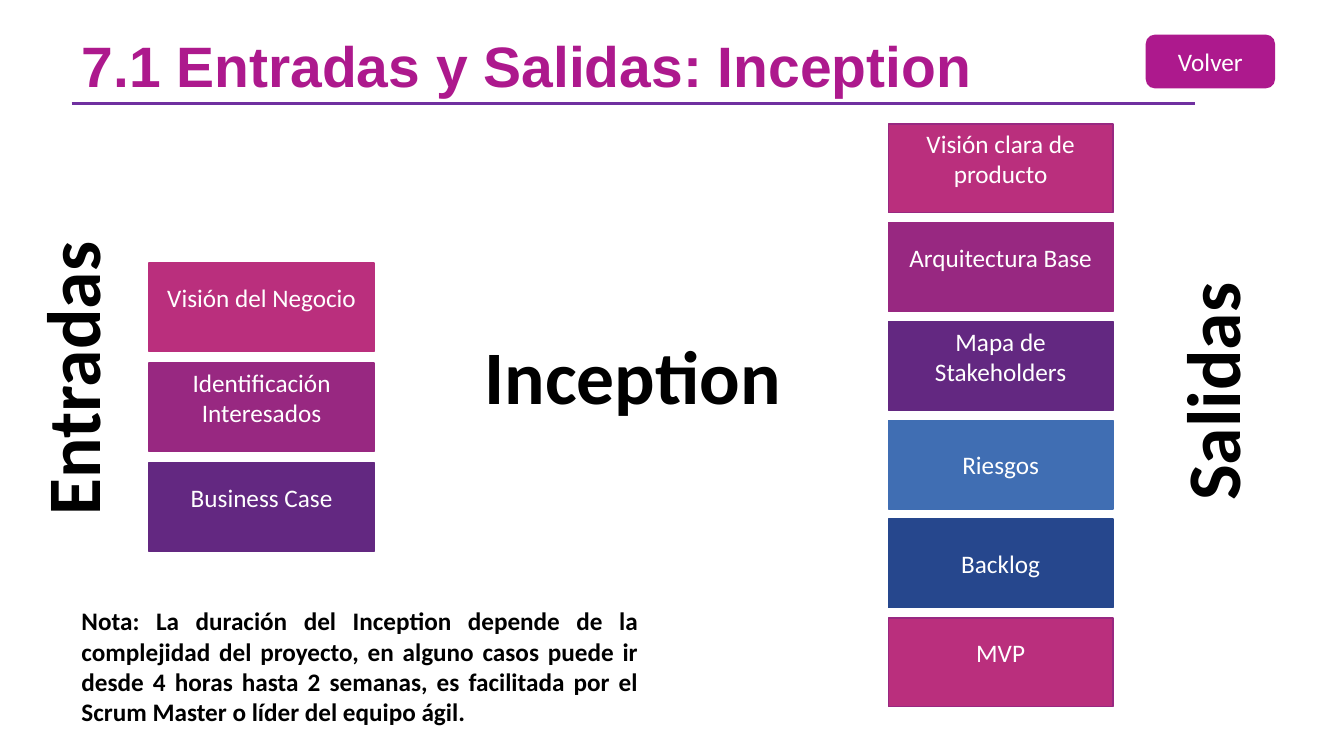
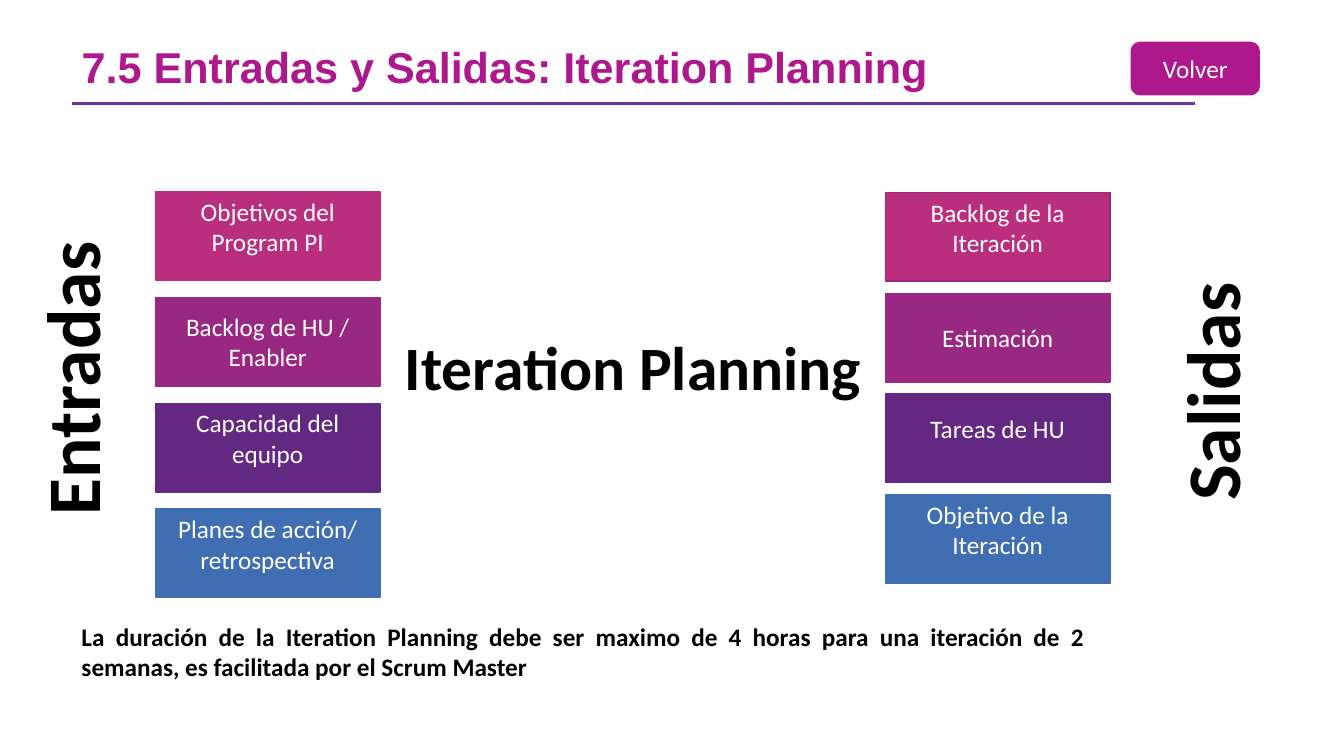
from lxml import etree
from pptx import Presentation
from pptx.dml.color import RGBColor
from pptx.enum.shapes import MSO_CONNECTOR, MSO_SHAPE
from pptx.enum.text import MSO_ANCHOR, MSO_AUTO_SIZE, PP_ALIGN
from pptx.oxml.ns import qn
from pptx.util import Inches, Pt

LEFT, CENTER, JUSTIFY = PP_ALIGN.LEFT, PP_ALIGN.CENTER, PP_ALIGN.JUSTIFY
TOP, MIDDLE = MSO_ANCHOR.TOP, MSO_ANCHOR.MIDDLE
RECT, ROUNDED = MSO_SHAPE.RECTANGLE, MSO_SHAPE.ROUNDED_RECTANGLE

MAGENTA, RULE, BLACK, WHITE = "AD198D", "7030A0", "000000", "FFFFFF"
PINK, PURPLE, VIOLET, BLUE, NAVY = "BA2F7D", "982881", "632881", "406EB3", "26478D"
STACK_COLORS = [PINK, PURPLE, VIOLET, BLUE, NAVY, PINK]

BOX_W, BOX_H = 2.23, 0.88
LIFT = 0.19  # extra bottom inset that raises a box's text
CENTERED = {"Riesgos", "Backlog", "Estimación", "Backlog de HU / Enabler"}
SIDE_LABELS = [("Entradas", (-0.77, 3.25, 2.94, 1.01)),
               ("Salidas", (10.81, 3.38, 2.39, 1.01))]

# A stack is (left, top, pitch, texts)
SLIDES = [
    {
        "title": "7.1 Entradas y Salidas: Inception", "title_size": 40.7,
        "button": (11.37, 0.35),
        "center": ("Inception", 54, (4.69, 3.21, 3.17, 1.01)),
        "inputs": (1.48, 2.61, 0.99, [
            "Visión del Negocio", "Identificación Interesados", "Business Case"]),
        "outputs": (8.81, 1.23, 0.98, [
            "Visión clara de producto", "Arquitectura Base", "Mapa de Stakeholders",
            "Riesgos", "Backlog", "MVP"]),
        "note": ("Nota: La duración del Inception depende de la complejidad del "
                 "proyecto, en alguno casos puede ir desde 4 horas hasta 2 semanas, "
                 "es facilitada por el Scrum Master o líder del equipo ágil.",
                 (0.71, 5.96, 5.72, 1.31)),
    },
    {
        "title": "7.5 Entradas y Salidas: Iteration Planning", "title_size": 30.8,
        "button": (11.22, 0.42),
        "center": ("Iteration Planning", 44, (3.89, 3.21, 4.78, 0.84)),
        "inputs": (1.54, 1.9, 1.05, [
            "Objetivos del Program PI", "Backlog de HU / Enabler",
            "Capacidad del equipo", "Planes de acción/ retrospectiva"]),
        "outputs": (8.78, 1.91, 1.0, [
            "Backlog de la Iteración", "Estimación", "Tareas de HU",
            "Objetivo de la Iteración"]),
        "note": ("La duración de la Iteration Planning debe ser maximo de 4 horas "
                 "para una iteración de 2 semanas, es facilitada por el Scrum Master",
                 (0.71, 6.11, 10.15, 0.71)),
    },
]


def rgb(color):
    return RGBColor.from_string(color)


def inches(box):
    return [Inches(v) for v in box]


def write(sp, text, size, color, align, anchor=MIDDLE, bold=False,
          font="Calibri", wrap=True):
    tf = sp.text_frame
    tf.auto_size = MSO_AUTO_SIZE.NONE
    tf.word_wrap = wrap
    tf.vertical_anchor = anchor
    p = tf.paragraphs[0]
    p.alignment = align
    r = p.add_run()
    r.text = text
    r.font.name, r.font.size, r.font.bold = font, Pt(size), bold
    r.font.color.rgb = rgb(color)
    return p


def add_box(slide, kind, box, text, fill, line):
    sp = slide.shapes.add_shape(kind, *inches(box))
    sp.shadow.inherit = False
    sp.fill.solid()
    sp.fill.fore_color.rgb = rgb(fill)
    sp.line.color.rgb = rgb(line)
    sp.line.width = Pt(1)
    write(sp, text, 18, WHITE, CENTER)
    return sp


def add_label(slide, text, size, box, align=CENTER, wrap=False, rotation=0):
    sp = slide.shapes.add_textbox(*inches(box))
    sp.rotation = rotation
    write(sp, text, size, BLACK, align, TOP, bold=True, wrap=wrap)


def add_stack(slide, left, top, pitch, texts, first_line):
    """Column of boxes at a constant pitch; first_line outlines the pink ones."""
    for i, (text, fill) in enumerate(zip(texts, STACK_COLORS)):
        line = first_line if fill == PINK else fill
        sp = add_box(slide, RECT, (left, top + i * pitch, BOX_W, BOX_H),
                     text, fill, line)
        if text not in CENTERED:
            sp.text_frame.margin_top = 0
            sp.text_frame.margin_bottom = Inches(LIFT)


def add_header(slide, title, size, button):
    sp = slide.shapes.title
    sp.left, sp.top, sp.width, sp.height = inches((0.71, 0.42, 10.33, 0.61))
    p = write(sp, title, size, MAGENTA, LEFT, bold=True, font="Arial")
    p.line_spacing = 0.7
    rule = slide.shapes.add_connector(MSO_CONNECTOR.STRAIGHT,
                                      *inches((0.71, 1.03, 11.85, 1.03)))
    rule.line.color.rgb = rgb(RULE)
    rule.line.width = Pt(2.25)
    etree.SubElement(rule._element.spPr, qn("a:effectLst"))
    add_box(slide, ROUNDED, (*button, 1.27, 0.52), "Volver", MAGENTA, MAGENTA)


def main():
    prs = Presentation()
    prs.slide_width, prs.slide_height = Inches(13.33), Inches(7.5)
    for content in SLIDES:
        slide = prs.slides.add_slide(prs.slide_layouts[5])
        add_header(slide, content["title"], content["title_size"], content["button"])
        add_stack(slide, *content["inputs"], first_line=PINK)
        add_stack(slide, *content["outputs"], first_line=PURPLE)
        add_label(slide, *content["center"])
        for text, box in SIDE_LABELS:
            add_label(slide, text, 54, box, rotation=270)
        note, box = content["note"]
        add_label(slide, note, 18, box, JUSTIFY, wrap=True)
    prs.save("out.pptx")


if __name__ == "__main__":
    main()
